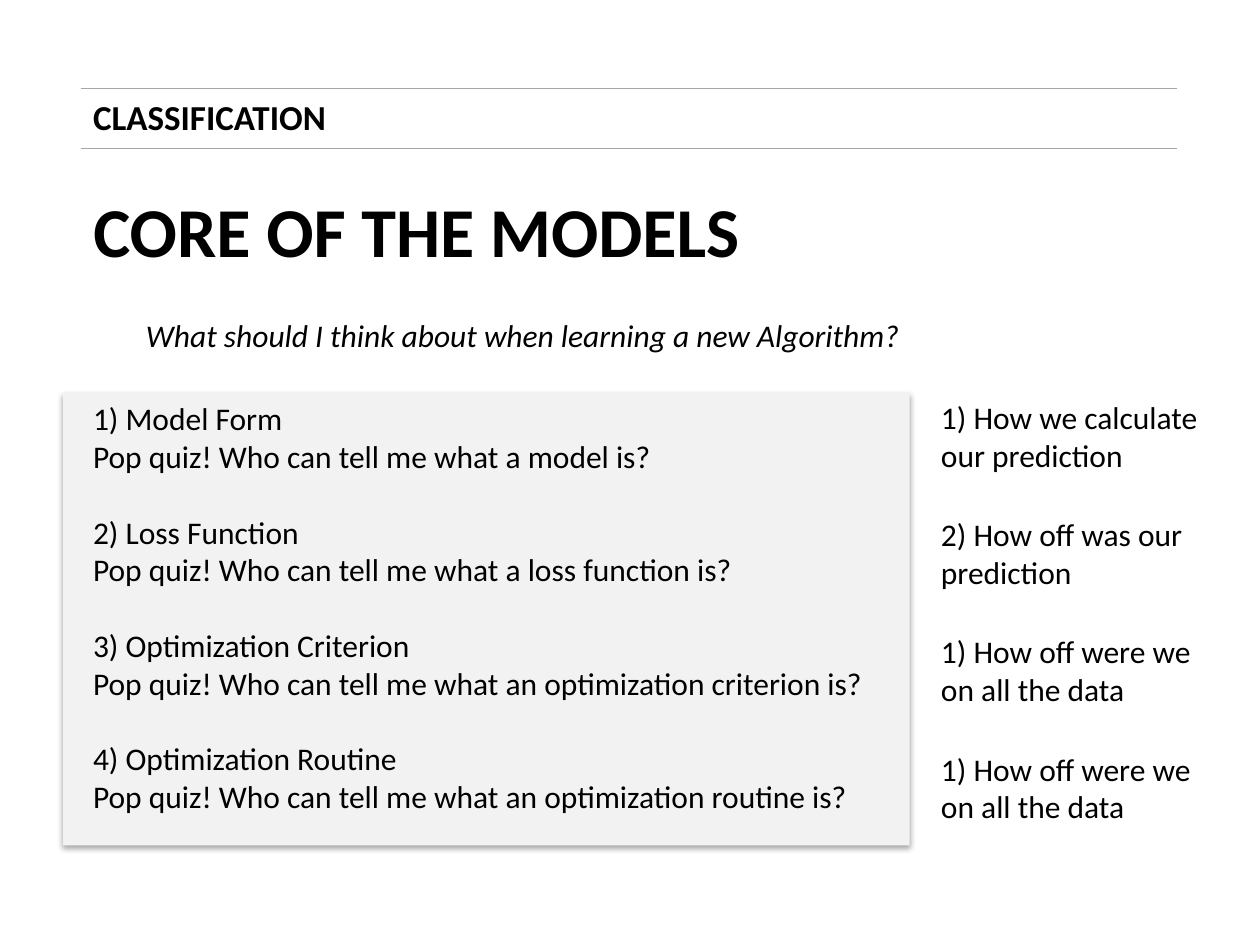
from lxml import etree
from pptx import Presentation
from pptx.dml.color import RGBColor
from pptx.enum.shapes import MSO_CONNECTOR, MSO_SHAPE
from pptx.enum.text import MSO_ANCHOR, MSO_AUTO_SIZE, PP_ALIGN
from pptx.oxml import parse_xml
from pptx.oxml.ns import nsdecls, qn
from pptx.util import Inches, Pt

COLORS = {"text": "000000", "panel": "F2F2F2", "rule": "A6A6A6"}


def color(name):
    return RGBColor.from_string(COLORS[name])


def write(box, lines, size, wrap=True, bold=False, italic=False, align=PP_ALIGN.LEFT):
    frame = box.text_frame
    frame.text = "\n".join(lines)
    frame.word_wrap = wrap
    frame.auto_size = MSO_AUTO_SIZE.NONE
    frame.vertical_anchor = MSO_ANCHOR.TOP
    for paragraph in frame.paragraphs:
        paragraph.alignment = align
        for run in paragraph.runs:
            font = run.font
            font.name, font.size = "Calibri", Pt(size)
            font.bold, font.italic = bold, italic
            font.color.rgb = color("text")


prs = Presentation()
prs.slide_width, prs.slide_height = Inches(10), Inches(7.5)
slide = prs.slides.add_slide(prs.slide_layouts[5])
shapes = slide.shapes

# Title
title = shapes.title
title.left, title.top = Inches(0.64), Inches(1.44)
title.width, title.height = Inches(5.38), Inches(0.77)
write(title, ["CORE OF THE MODELS"], 40, wrap=False, bold=True)

# Grey panel with a soft shadow below it
panel = shapes.add_shape(MSO_SHAPE.RECTANGLE, Inches(0.5), Inches(3.12),
                         Inches(6.72), Inches(3.59))
panel.fill.solid()
panel.fill.fore_color.rgb = color("panel")
panel.line.fill.background()
panel.shadow.inherit = False
panel._element.spPr.find(qn("a:effectLst")).append(parse_xml(
    f'<a:outerShdw {nsdecls("a")} blurRad="{Pt(3.1)}" dist="{Pt(1.8)}" '
    'dir="5400000" rotWithShape="0"><a:srgbClr val="000000">'
    '<a:alpha val="35000"/></a:srgbClr></a:outerShdw>'))

# Section heading between two rules
for y in (0.7, 1.18):
    rule = shapes.add_connector(MSO_CONNECTOR.STRAIGHT, Inches(0.64), Inches(y),
                                Inches(9.34), Inches(y))
    rule.line.color.rgb = color("rule")
    rule.line.width = Pt(0.75)
    etree.SubElement(rule._element.spPr, qn("a:effectLst"))

section = shapes.add_textbox(Inches(0.64), Inches(0.71), Inches(2.07), Inches(0.44))
write(section, ["CLASSIFICATION"], 20, wrap=False, bold=True)

# Guiding question
question = shapes.add_textbox(Inches(0.34), Inches(2.46), Inches(7.62), Inches(0.4))
write(question, ["What should I think about when learning a new Algorithm?"], 18,
      italic=True, align=PP_ALIGN.CENTER)

# Four parts of a model, each with its quiz question
parts = [
    ("Model Form", "a model"),
    ("Loss Function", "a loss function"),
    ("Optimization Criterion", "an optimization criterion"),
    ("Optimization Routine", "an optimization routine"),
]
quiz_lines = []
for number, (part, subject) in enumerate(parts, 1):
    quiz_lines += [f"{number}) {part}", f"Pop quiz! Who can tell me what {subject} is?"]

quiz = shapes.add_textbox(Inches(0.64), Inches(3.12), Inches(6.33), Inches(3.74))
write(quiz, quiz_lines, 18)
for heading in quiz.text_frame.paragraphs[2::2]:
    heading.space_before = Pt(21.6)

# Short answers beside the panel
answers = [
    "1) How we calculate our prediction",
    "2) How off was our prediction",
    "1) How off were we on all the data",
    "1) How off were we on all the data",
]
for row, answer_text in enumerate(answers):
    answer = shapes.add_textbox(Inches(7.37), Inches(3.11 + 0.93 * row),
                                Inches(2.27), Inches(0.71))
    write(answer, [answer_text], 18)

prs.save("out.pptx")
